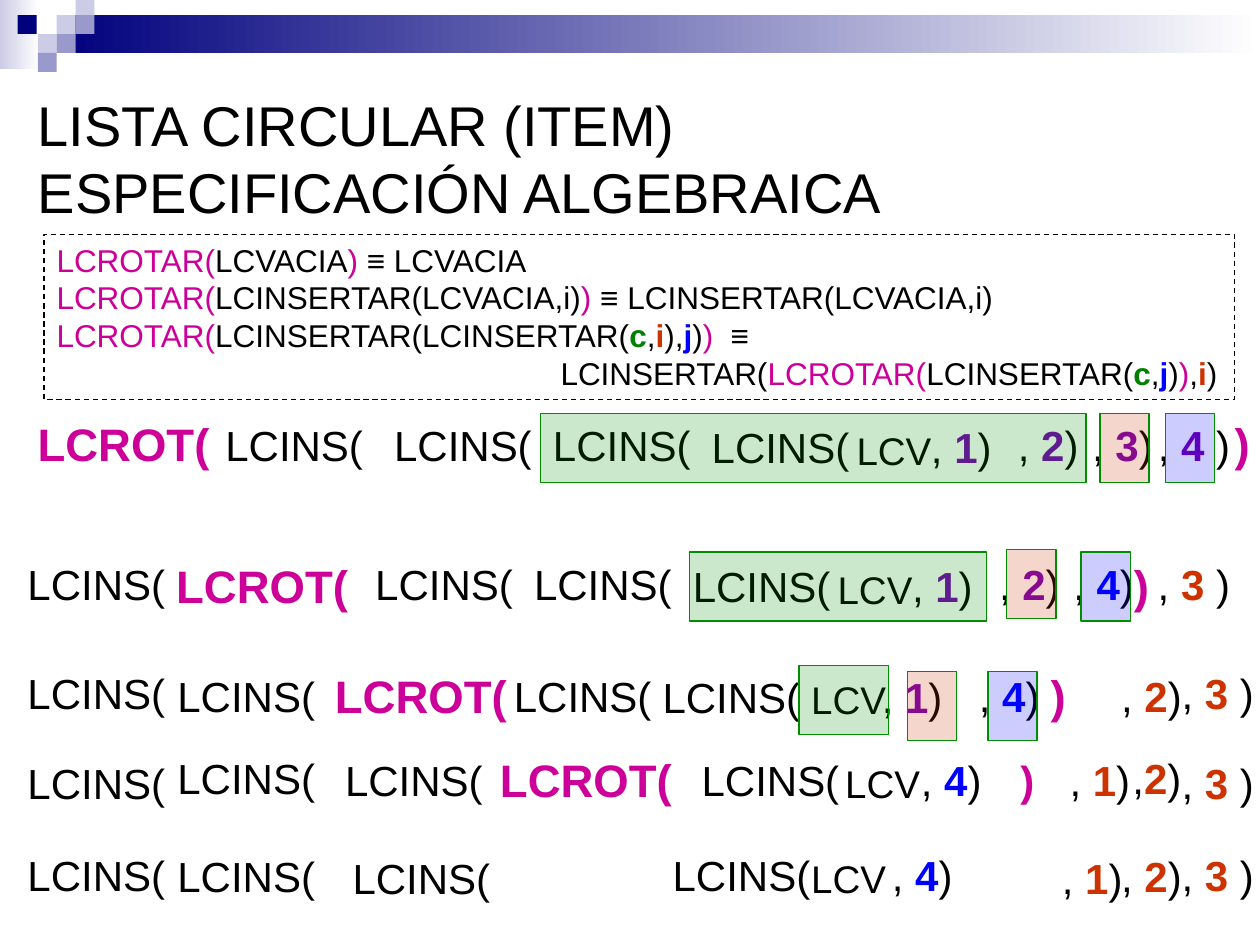
"""Build the slide that rotates a circular list step by step with its algebraic specification."""
from lxml.etree import SubElement
from pptx import Presentation
from pptx.dml.color import RGBColor
from pptx.enum.dml import MSO_LINE
from pptx.enum.shapes import MSO_SHAPE as Shape
from pptx.enum.text import MSO_ANCHOR as Anchor, MSO_AUTO_SIZE as AutoSize, PP_ALIGN as Align
from pptx.oxml.ns import qn
from pptx.util import Inches, Pt

THEME = {
    "font": "Arial",
    "sizes": {"title": 32, "rotate": 26, "insert": 24, "empty": 22, "axiom": 18},
    "colors": {
        "text": "000000", "rotate": "CC0099", "list": "008000", "first": "CC3300",
        "last": "0000FF", "pending": "7700B2", "green": "008E00", "navy": "00007D",
        "pale": "CCCCE6", "lilac": "9999CC", "white": "FFFFFF",
    },
    "bold": {"list", "first", "last", "pending"},
}
BOX_FORMAT = {"word_wrap": True, "auto_size": AutoSize.SHAPE_TO_FIT_TEXT, "vertical_anchor": Anchor.TOP}
INSET = 0.1
PIXEL = 0.15

TITLE = "LISTA CIRCULAR (ITEM)\vESPECIFICACIÓN ALGEBRAICA"
BANDS = [((0, -0.03, 0.31, 0.58), "pale"), ((0.45, 0.12, 9.55, 0.3), "navy")]
PIXELS = [
    (0.45, 0.12, "pale"), (0.6, -0.03, "pale"), (0.6, 0.12, "lilac"), (0.3, 0.27, "pale"),
    (0.14, 0.12, "navy"), (0.45, 0.27, "lilac"), (0.3, 0.42, "lilac"),
]

AXIOM_BOX = (0.35, 1.86, 9.45, 1.31)
AXIOMS = [
    ([], [("LCROTAR(", "rotate"), ("LCVACIA", "text"), (") ", "rotate"), ("≡ LCVACIA", "text")]),
    ([], [("LCROTAR(", "rotate"), ("LCINSERTAR(LCVACIA,i)", "text"), (") ", "rotate"),
          ("≡ LCINSERTAR(LCVACIA,i)", "text")]),
    ([5.35], [("LCROTAR(", "rotate"), ("LCINSERTAR(LCINSERTAR(", "text"), ("c", "list"), (",", "text"),
              ("i", "first"), ("),", "text"), ("j", "last"), (")", "text"), (")", "rotate"), ("\t≡", "text")]),
    ([4], [("\tLCINSERTAR(", "text"), ("LCROTAR(", "rotate"), ("LCINSERTAR(", "text"), ("c", "list"),
           (",", "text"), ("j", "last"), (")", "text"), (")", "rotate"), (",", "text"), ("i", "first"),
           (")", "text")]),
]

ROTATIONS = [
    (0.2, 3.25, 9.96, [9.5], "LCROT(\t)"),
    (1.3, 4.38, 9.96, [7.6], "LCROT(\t)"),
    (2.56, 5.25, 7.24, [5.68], "LCROT(\t)"),
    (3.87, 5.92, 7.24, [], "LCROT("),
]
INSERTIONS = [
    (3.03, 3.28, 7.17, 5.54, ", ", "3", "pending", ")"),
    (1.69, 3.28, 9.21, 7.4, ", ", "4", "pending", " )"),
    (4.29, 3.28, 5.28, 3.69, ", ", "2", "pending", ")"),
    (5.55, 3.3, 3.15, 1.74, ", ", "1", "pending", ")"),
    (0.12, 4.38, 10.63, 8.97, ", ", "3", "first", " )"),
    (2.88, 4.38, 7.17, 5.54, ", ", "4", "last", ")"),
    (4.14, 4.38, 5.28, 3.69, ", ", "2", "pending", ")"),
    (5.4, 4.4, 3.15, 1.74, ", ", "1", "pending", ")"),
    (0.12, 5.25, 10.63, 9.16, ", ", "3", "first", " )"),
    (1.31, 5.27, 8.33, 7.49, ", ", "2", "first", ")"),
    (3.98, 5.27, 5.28, 3.69, ", ", "4", "last", ")"),
    (5.16, 5.28, 3.15, 1.74, ", ", "1", "pending", ")"),
    (0.12, 5.96, 10.63, 9.16, ", ", "3", "first", " )"),
    (1.31, 5.92, 8.33, 7.58, ",", "2", "first", ")"),
    (5.47, 5.94, 3.15, 1.74, ", ", "4", "last", ")"),
    (0.12, 6.69, 10.63, 9.16, ", ", "3", "first", " )"),
    (1.31, 6.7, 8.33, 7.49, ", ", "2", "first", ")"),
    (2.7, 6.72, 6.46, 5.63, ", ", "1", "first", ")"),
    (5.24, 6.69, 3.15, 1.74, ", ", "4", "last", ")"),
]
ROTATED_INSERTION = ((2.64, 5.94, 6.46, 0.5), [5.36, 5.75], [
    ("LCINS(\t", "text"), (")", "rotate_end"), ("\t, ", "text"), ("1", "first"), (")", "text")])
EMPTY_LISTS = [(6.7, 3.34), (6.55, 4.44), (6.34, 5.32), (6.61, 5.98), (6.34, 6.74)]
MARKERS = [
    (4.29, 3.28, 4.33, "green"), (8.73, 3.28, 0.39, "first"), (9.25, 3.28, 0.39, "last"),
    (5.47, 4.38, 2.36, "green"), (7.99, 4.36, 0.39, "first"), (8.58, 4.38, 0.39, "last"),
    (6.34, 5.28, 0.71, "green"), (7.2, 5.33, 0.39, "first"), (7.84, 5.33, 0.39, "last"),
]


def color(name):
    return RGBColor.from_string(THEME["colors"][name])


def apply(target, values):
    for key, value in values.items():
        setattr(target, key, value)


def style_font(font, size, tone="text", bold=False):
    apply(font, {"name": THEME["font"], "size": Pt(THEME["sizes"][size]), "bold": bold})
    font.color.rgb = color(tone)


def write_line(paragraph, runs, size, stops=()):
    paragraph.alignment = Align.LEFT
    if stops:
        tabs = SubElement(paragraph._p.get_or_add_pPr(), qn("a:tabLst"))
        for stop in stops:
            SubElement(tabs, qn("a:tab"), pos=str(Inches(stop)), algn="l")
    for words, style in runs:
        run = paragraph.add_run()
        run.text = words
        bold = size == "rotate" or style == "rotate_end" or style in THEME["bold"]
        style_font(run.font, size, style.removesuffix("_end"), bold)


def add_term(slide, place, runs, size, stops=()):
    frame = slide.shapes.add_textbox(*map(Inches, place)).text_frame
    apply(frame, BOX_FORMAT)
    write_line(frame.paragraphs[0], runs, size, stops)


def add_block(slide, place):
    block = slide.shapes.add_shape(Shape.RECTANGLE, *map(Inches, place))
    block.shadow.inherit = False
    return block


def paint(block, tone):
    block.fill.solid()
    block.fill.fore_color.rgb = color(tone)


def outline(block, tone):
    block.line.color.rgb = color(tone)
    block.line.width = Pt(0.75)


def add_header(slide):
    for place, tone in BANDS:
        band = add_block(slide, place)
        band.line.fill.background()
        band.fill.gradient()
        band.fill.gradient_angle = 0
        for stop, shade, position in zip(band.fill.gradient_stops, (tone, "white"), (0, 1)):
            stop.color.rgb = color(shade)
            stop.position = position
    for left, top, tone in PIXELS:
        pixel = add_block(slide, (left, top, PIXEL, PIXEL))
        pixel.line.fill.background()
        paint(pixel, tone)
    title = slide.shapes.title
    apply(title, dict(zip(("left", "top", "width", "height"), map(Inches, (0.2, 0.5, 9, 1.5)))))
    title.text_frame.text = TITLE
    apply(title.text_frame, {"word_wrap": True, "auto_size": AutoSize.NONE, "vertical_anchor": Anchor.MIDDLE})
    heading = title.text_frame.paragraphs[0]
    heading.alignment = Align.LEFT
    for run in heading.runs:
        style_font(run.font, "title")


def add_axioms(slide):
    panel = add_block(slide, AXIOM_BOX)
    panel.fill.background()
    outline(panel, "text")
    panel.line.dash_style = MSO_LINE.DASH
    frame = panel.text_frame
    apply(frame, BOX_FORMAT | {"margin_left": Inches(INSET), "margin_right": Inches(INSET)})
    for index, (stops, runs) in enumerate(AXIOMS):
        paragraph = frame.add_paragraph() if index else frame.paragraphs[0]
        write_line(paragraph, runs, "axiom", stops)


def add_steps(slide):
    for left, top, width, stops, words in ROTATIONS:
        add_term(slide, (left, top, width, 0.53), [(words, "rotate")], "rotate", stops)
    for left, top, width, stop, comma, item, style, close in INSERTIONS:
        runs = [("LCINS(\t" + comma, "text"), (item, style), (close, "text")]
        add_term(slide, (left, top, width, 0.5), runs, "insert", [stop])
    place, stops, runs = ROTATED_INSERTION
    add_term(slide, place, runs, "insert", stops)
    for left, top in EMPTY_LISTS:
        add_term(slide, (left, top, 0.87, 0.47), [("LCV", "text")], "empty")
    for left, top, width, tone in MARKERS:
        marker = add_block(slide, (left, top, width, 0.55))
        paint(marker, tone)
        SubElement(marker._element.spPr.find(qn("a:solidFill"))[0], qn("a:alpha"), val="20000")
        outline(marker, "green")


def main():
    deck = Presentation()
    apply(deck, {"slide_width": Inches(10), "slide_height": Inches(7.5)})
    slide = deck.slides.add_slide(deck.slide_layouts[5])
    add_header(slide)
    add_axioms(slide)
    add_steps(slide)
    deck.save("out.pptx")


if __name__ == "__main__":
    main()
